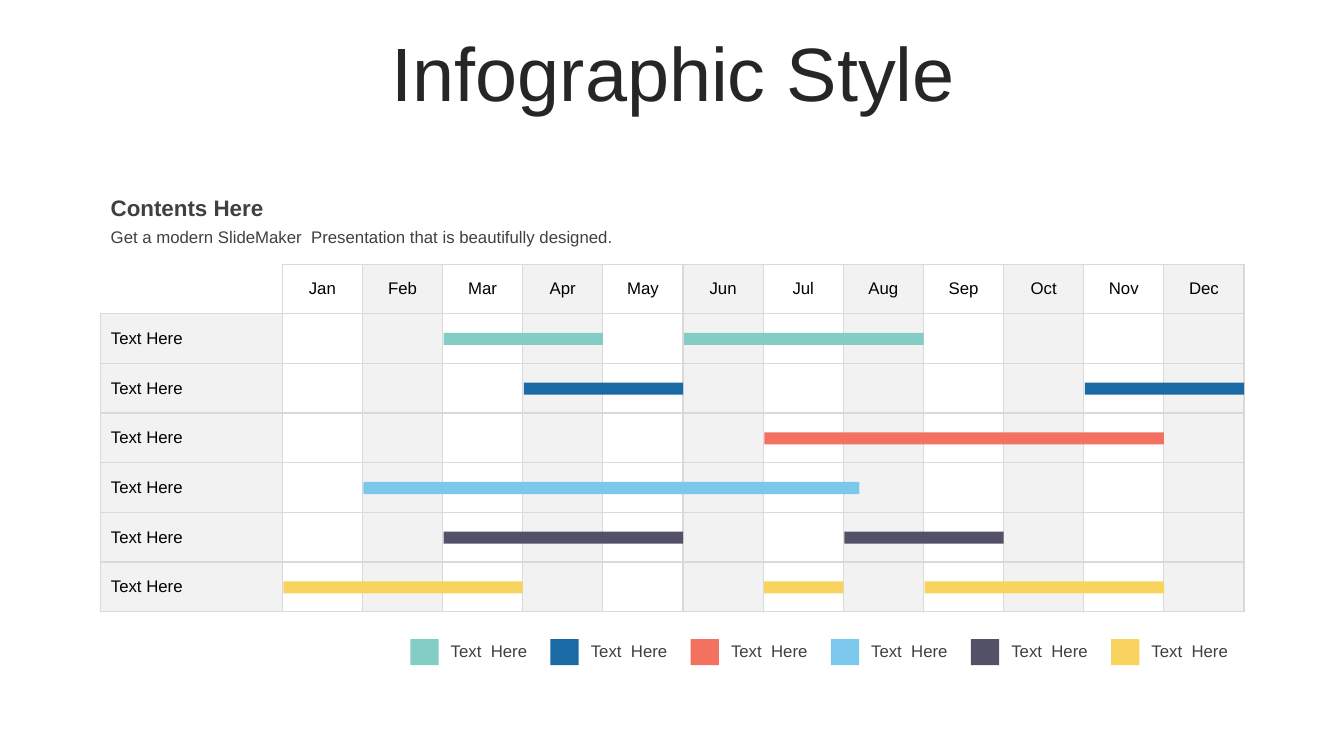
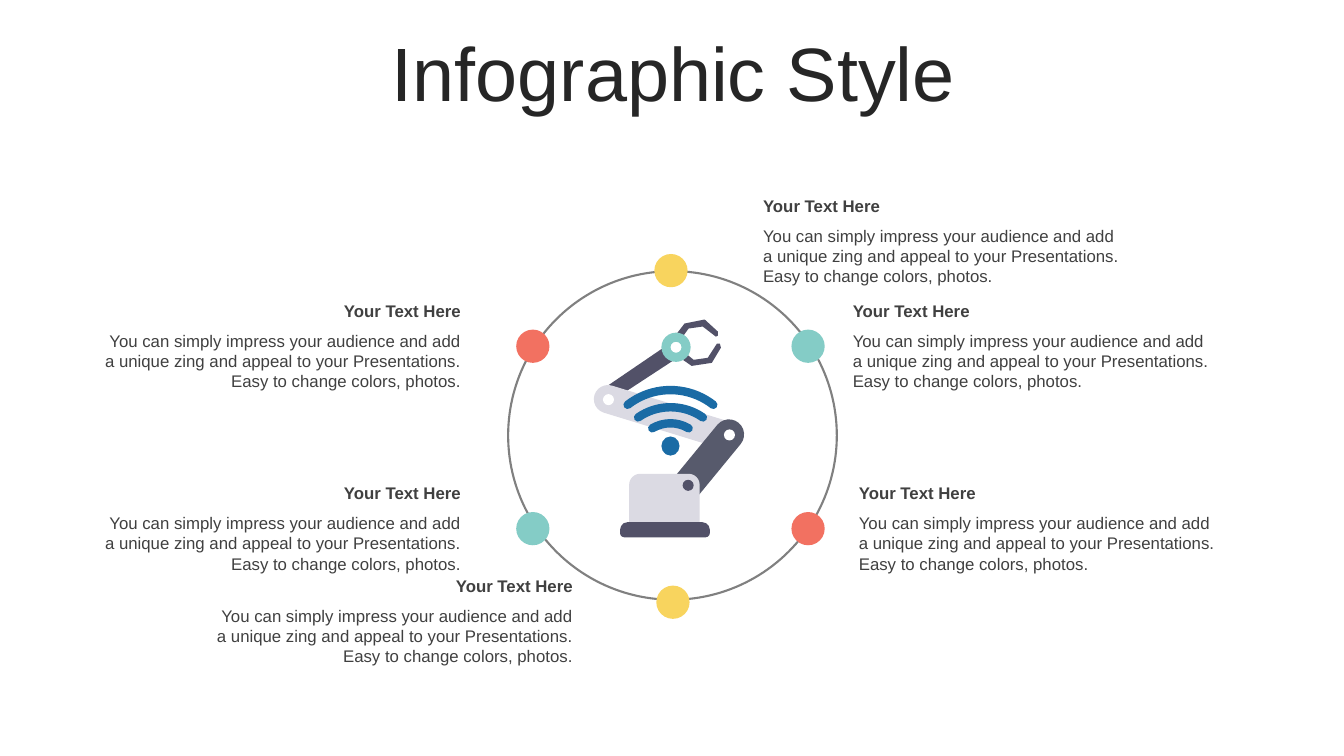
import math
from lxml import etree
from pptx import Presentation, util as u
from pptx.dml.color import RGBColor
from pptx.enum import shapes, text
from pptx.oxml.ns import qn

PX = 9144  # 100 px to the inch
TEAL, BLUE, CORAL, SKY, SLATE, GOLD = COLORS = (
    "84CCC6", "1A6BA5", "F27161", "7CC8EC", "525168", "F8D45E")
PALE, STEEL, WHITE = "DBDAE3", "575A6C", "FFFFFF"
INK, GREY, BAND, RULE, BLACK = "262626", "404040", "F2F2F2", "D9D9D9", "000000"
FORM = shapes.MSO_SHAPE
LEFT, MID, RIGHT = text.PP_ALIGN.LEFT, text.PP_ALIGN.CENTER, text.PP_ALIGN.RIGHT
hue = RGBColor.from_string


def put(page, form, box, fill=None, line=None, width=1, adjust=(), turn=0):
    """Add a preset shape in a box, or the outline through the points of box if form is None."""
    if form is None:
        pen = page.shapes.build_freeform(*box[0], scale=PX)
        pen.add_line_segments(box[1:], close=True)
        shape = pen.convert_to_shape()
    else:
        shape = page.shapes.add_shape(form, *[int(v * PX) for v in box])
    for i, value in enumerate(adjust):
        shape.adjustments[i] = value
    shape.rotation = turn
    shape.shadow.inherit = False
    if fill:
        shape.fill.solid()
        shape.fill.fore_color.rgb = hue(fill)
    else:
        shape.fill.background()
    if line:
        shape.line.color.rgb = hue(line)
        shape.line.width = u.Pt(width)
    else:
        shape.line.fill.background()
    return shape


def write(frame, words, size=12, color=GREY, bold=False, align=LEFT):
    frame.word_wrap = True
    para = frame.paragraphs[0]
    para.alignment = align
    run = para.add_run()
    run.text = words
    run.font.name = "Arial"
    run.font.size = u.Pt(size)
    run.font.bold = bold
    run.font.color.rgb = hue(color)


deck = Presentation()
deck.slide_width, deck.slide_height = 1333 * PX, 750 * PX
pages = [deck.slides.add_slide(deck.slide_layouts[5]) for _ in range(2)]
for page in pages:
    title = page.shapes.title
    title.left, title.top, title.width, title.height = [v * PX for v in (35, 37, 1266, 79)]
    frame = title.text_frame
    write(frame, "Infographic Style", size=54, color=INK, align=MID)
    frame.auto_size = text.MSO_AUTO_SIZE.NONE
    frame.vertical_anchor = text.MSO_ANCHOR.MIDDLE
    frame.paragraphs[0].line_spacing = 0.9
    frame.paragraphs[0].space_before = u.Pt(10)
plan, ring = pages

# Year plan
MONTHS = "Jan Feb Mar Apr May Jun Jul Aug Sep Oct Nov Dec".split()
X, Y, SIDE, WIDE, HIGH = 100, 262, 180, 1134, 345
step, tall = (WIDE - SIDE) / len(MONTHS), HIGH / 7

for words, top, high, size, bold in (
        ("Get a modern SlideMaker  Presentation that is beautifully designed.", 220, 30, 12, False),
        ("Contents Here", 188, 37, 16, True)):
    label = plan.shapes.add_textbox(X * PX, top * PX, 863 * PX, high * PX)
    write(label.text_frame, words, size=size, bold=bold)

grid = plan.shapes.add_table(7, 13, X * PX, Y * PX, WIDE * PX, HIGH * PX).table
grid.first_row = grid.horz_banding = False
for col, column in enumerate(grid.columns):
    column.width = int((step if col else SIDE) * PX)
for row, line in enumerate(grid.rows):
    line.height = int(tall * PX)
    for col, cell in enumerate(line.cells):
        cell.vertical_anchor = text.MSO_ANCHOR.MIDDLE
        if (row or col) and col % 2 == 0:
            cell.fill.solid()
            cell.fill.fore_color.rgb = hue(BAND)
        else:
            cell.fill.background()
        if row == 0 and col:
            write(cell.text_frame, MONTHS[col - 1], color=BLACK, align=MID)
        elif row and col == 0:
            write(cell.text_frame, "Text Here", color=BLACK)
        props = cell._tc.get_or_add_tcPr()
        for spot, edge in enumerate("LRTB" if row or col else "RB"):
            border = etree.Element(qn("a:ln" + edge), w="12700")
            solid = etree.SubElement(border, qn("a:solidFill"))
            etree.SubElement(solid, qn("a:srgbClr"), val=RULE)
            props.insert(spot, border)

# Start and end of each bar, in months
SPANS = ([(2, 4), (5, 8)], [(3, 5), (10, 12)], [(6, 11)],
         [(1, 7.2)], [(2, 5), (7, 9)], [(0, 3), (6, 7), (8, 11)])
for i, (color, spans) in enumerate(zip(COLORS, SPANS)):
    for start, end in spans:
        put(plan, FORM.RECTANGLE,
            (X + SIDE + start * step + 1, Y + (i + 1) * tall + 19, (end - start) * step - 1, 12),
            color)
    left = 407 + 139 * i
    put(plan, FORM.RECTANGLE, (left, 634, 28, 26), color)
    label = plan.shapes.add_textbox((left + 27) * PX, 631 * PX, 102 * PX, 30 * PX)
    write(label.text_frame, "Text  Here", align=MID)

# Ring of six notes
NOTE = ("You can simply impress your audience and add a unique zing and appeal "
        "to your Presentations. Easy to change colors, photos.")
for left, top, align in ((747, 189, LEFT), (836, 293, LEFT), (842, 474, LEFT),
                         (93, 293, RIGHT), (93, 474, RIGHT), (204, 566, RIGHT)):
    for words, down, high, bold in ((NOTE, 30, 71, False), ("Your Text Here", 0, 30, True)):
        label = ring.shapes.add_textbox(left * PX, (top + down) * PX, 374 * PX, high * PX)
        write(label.text_frame, words, bold=bold, align=align)

put(ring, FORM.OVAL, (504, 269, 326, 326), line="808080", width=1.5)
for left, top, color in ((649, 252, GOLD), (651, 581, GOLD), (785, 508, CORAL),
                         (785, 327, TEAL), (512, 508, TEAL), (512, 327, CORAL)):
    put(ring, FORM.OVAL, (left, top, 33, 33), color)

# Robot arm: wrist and two claws, then the jointed arms
for points in (
        [(661, 343), (595, 388), (620, 389), (672, 355)],
        [(669, 334), (679, 321), (699, 317), (712, 329), (712, 333),
         (710, 334), (697, 324), (683, 326), (675, 337)],
        [(673, 354), (686, 363), (706, 360), (715, 345), (714, 341),
         (711, 341), (702, 355), (688, 357), (678, 349)]):
    put(ring, None, points, SLATE)
put(ring, FORM.DONUT, (656, 330, 29, 29), TEAL, adjust=[0.31])
for x, y, far, low, thick, color in ((603, 396, 717, 431, 28, PALE),
                                     (723, 431, 677, 487, 30, STEEL)):
    long = math.hypot(far - x, low - y) + thick
    put(ring, FORM.ROUNDED_RECTANGLE,
        ((x + far - long) / 2, (y + low - thick) / 2, long, thick), color,
        adjust=[0.5], turn=math.degrees(math.atan2(low - y, far - x)))
    put(ring, FORM.OVAL, (x - 5, y - 5, 11, 11), WHITE)
put(ring, FORM.ROUND_2_SAME_RECTANGLE, (624, 470, 70, 55), PALE, adjust=[0.2, 0.07])
put(ring, FORM.ROUND_2_SAME_RECTANGLE, (615, 518, 89, 15), SLATE, adjust=[0.5, 0.27])
put(ring, FORM.OVAL, (677, 476, 11, 11), SLATE)

# Signal: a dot under three arcs, each by peak, radius and half angle
put(ring, FORM.OVAL, (656, 433, 18, 19), BLUE)
for peak, radius, half in ((420, 35, 31), (404, 56, 35), (387, 69, 38)):
    arc = put(ring, FORM.ARC, (665 - radius, peak, 2 * radius, 2 * radius),
              line=BLUE, width=6, adjust=[(270 - half) * 0.6, (270 + half) * 0.6])
    arc.element.spPr.find(qn("a:ln")).set("cap", "rnd")

deck.save("out.pptx")
